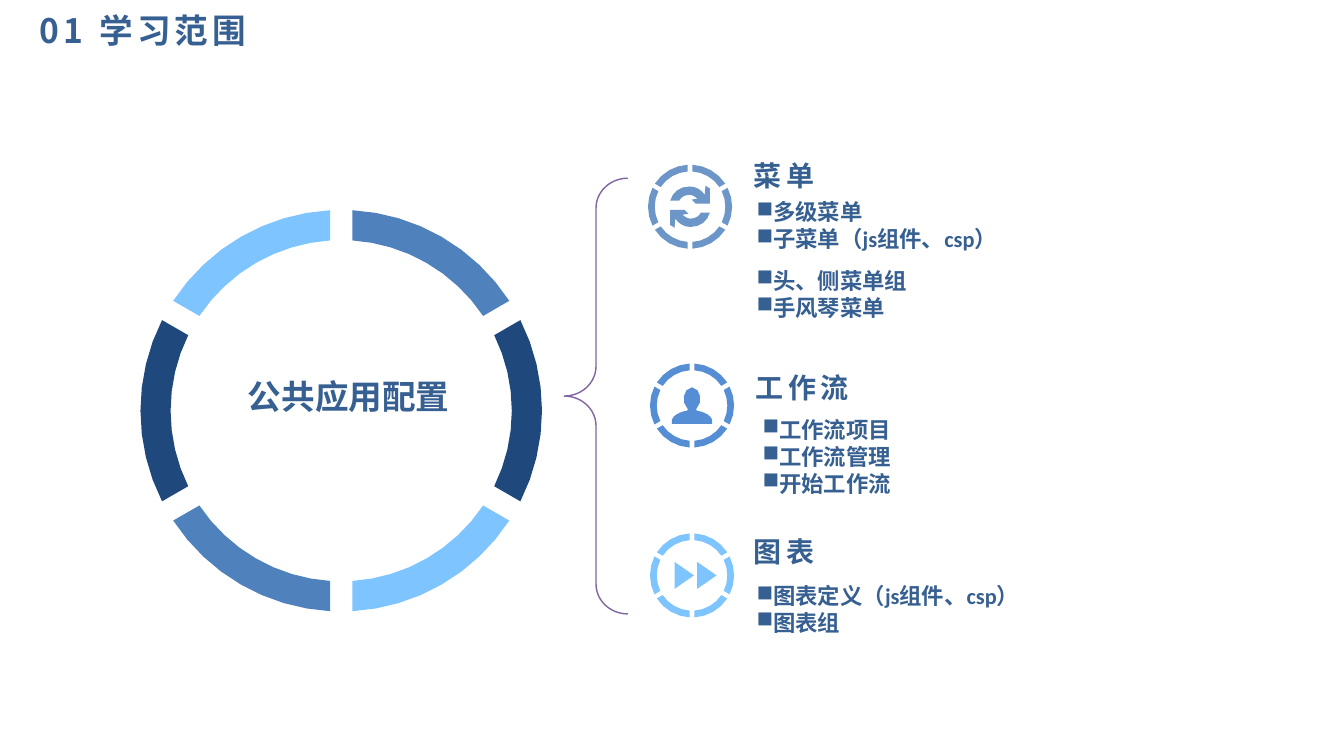
from dataclasses import dataclass
from math import asin, cos, pi, sin

from pptx import Presentation
from pptx import util as u
from pptx.dml.color import RGBColor
from pptx.enum import shapes, text
from pptx.oxml.ns import qn

Point = tuple[float, float]
Outline = list[Point]

COLOURS = {
    "ink": "376092",
    "navy": "1F497D",
    "blue": "4F81BD",
    "sky": "7EC4FE",
    "steel": "6C96C7",
    "azure": "558ED5",
    "purple": "8064A2",
}
CJK_FONT = "Noto Sans CJK SC"


@dataclass
class Ring:
    centre: Point
    outer: float
    inner: float
    half_gap: float
    steps: int
    colours: list[str]


@dataclass
class BulletList:
    left: float
    top: float
    width: float
    items: list[str]


@dataclass
class Topic:
    heading: str
    left: float
    top: float
    centre: Point
    colour: str
    icon: list[Outline]
    lists: list[BulletList]


def rgb(name: str) -> RGBColor:
    return RGBColor.from_string(COLOURS[name])


def bezier(a: Point, b: Point, c: Point, d: Point) -> Outline:
    return [
        tuple(
            (1 - t) ** 3 * a[k] + 3 * t * (1 - t) ** 2 * b[k]
            + 3 * t * t * (1 - t) * c[k] + t ** 3 * d[k]
            for k in (0, 1)
        )
        for t in (0, 0.25, 0.5, 0.75, 1)
    ]


def arc(radius: float, half_gap: float, start: float, steps: int) -> Outline:
    trim = asin(half_gap / radius)
    sweep = pi / 3 - 2 * trim
    angles = [start + trim + sweep * i / steps for i in range(steps + 1)]
    return [(radius * cos(a), radius * sin(a)) for a in angles]


def draw_outlines(slide, centre: Point, outlines: list[Outline], colour: str) -> None:
    placed = [
        [(u.Cm(centre[0] + x), u.Cm(centre[1] + y)) for x, y in outline]
        for outline in outlines
    ]
    builder = slide.shapes.build_freeform(*placed[0][0])
    builder.add_line_segments(placed[0][1:], close=True)
    for outline in placed[1:]:
        builder.move_to(*outline[0])
        builder.add_line_segments(outline[1:], close=True)
    figure = builder.convert_to_shape()
    figure.shadow.inherit = False
    figure.fill.solid()
    figure.fill.fore_color.rgb = rgb(colour)
    figure.line.fill.background()


def draw_ring(slide, ring: Ring) -> None:
    for i, colour in enumerate(ring.colours):
        start = -pi / 2 + i * pi / 3
        outside = arc(ring.outer, ring.half_gap, start, ring.steps)
        inside = arc(ring.inner, ring.half_gap, start, ring.steps)
        draw_outlines(slide, ring.centre, [outside + inside[::-1]], colour)


def style(paragraph, size: float, font: str, spacing: int = 0) -> None:
    paragraph.font.size = u.Pt(size)
    paragraph.font.bold = True
    paragraph.font.name = font
    paragraph.font.color.rgb = rgb("ink")
    properties = paragraph._p.pPr.find(qn("a:defRPr"))
    if spacing:
        properties.set("spc", str(spacing * 100))
    if font == CJK_FONT:
        east_asian = properties.makeelement(qn("a:ea"), {"typeface": font})
        properties.find(qn("a:latin")).addnext(east_asian)


def add_label(slide, words: str, left: float, top: float, size: float, spacing: int = 0) -> None:
    frame = slide.shapes.add_textbox(u.Cm(left), u.Cm(top), u.Cm(6.1), u.Cm(0.97)).text_frame
    frame.word_wrap = True
    frame.vertical_anchor = text.MSO_ANCHOR.MIDDLE
    frame.text = words
    style(frame.paragraphs[0], size, CJK_FONT, spacing)


def add_bullets(slide, bullets: BulletList) -> None:
    height = 0.25 + 0.69 * len(bullets.items)
    frame = slide.shapes.add_textbox(
        u.Cm(bullets.left), u.Cm(bullets.top), u.Cm(bullets.width), u.Cm(height)
    ).text_frame
    frame.word_wrap = True
    frame.text = "\n".join(bullets.items)
    for paragraph in frame.paragraphs:
        properties = paragraph._p.get_or_add_pPr()
        properties.set("marL", str(u.Cm(0.1)))
        properties.set("indent", str(u.Cm(-0.81)))
        properties.append(properties.makeelement(qn("a:buChar"), {"char": "■"}))
        style(paragraph, 16, "Calibri")


def draw_topic(slide, topic: Topic) -> None:
    draw_ring(slide, Ring(topic.centre, 1.06, 0.89, 0.06, 4, [topic.colour] * 6))
    draw_outlines(slide, topic.centre, topic.icon, topic.colour)
    add_label(slide, topic.heading, topic.left, topic.top, 20, 3)
    for bullets in topic.lists:
        add_bullets(slide, bullets)


def main() -> None:
    deck = Presentation()
    deck.slide_width, deck.slide_height = u.Cm(33.87), u.Cm(19.05)
    slide = deck.slides.add_slide(deck.slide_layouts[5])

    title = slide.shapes.title
    title.left, title.top, title.width, title.height = map(u.Cm, (0.74, 0.25, 25.93, 1.47))
    title.text_frame.text = "01 学习范围"
    title.text_frame.vertical_anchor = text.MSO_ANCHOR.TOP
    title.text_frame.margin_top = 0
    title.text_frame.paragraphs[0].alignment = text.PP_ALIGN.LEFT
    style(title.text_frame.paragraphs[0], 24, CJK_FONT, 3)

    draw_ring(slide, Ring((8.6, 10.35), 5.06, 4.3, 0.28, 8, ["blue", "navy", "sky"] * 2))
    add_label(slide, "公共应用配置", 6, 9.5, 24)

    brace = slide.shapes.add_shape(
        shapes.MSO_SHAPE.RIGHT_BRACE, u.Cm(14.22), u.Cm(4.49), u.Cm(1.6), u.Cm(10.98)
    )
    brace.rotation = 180
    brace.adjustments[0], brace.adjustments[1] = 0.47, 0.5
    brace.shadow.inherit = False
    brace.fill.background()
    brace.line.color.rgb = rgb("purple")
    brace.line.width = u.Pt(1)

    lower_arrow = [
        (-0.5, 0.08), (-0.14, 0.08), (-0.04, 0.18),
        *bezier((-0.19, 0.2), (-0.14, 0.25), (-0.06, 0.3), (0.01, 0.3)),
        *bezier((0.01, 0.3), (0.14, 0.3), (0.24, 0.23), (0.27, 0.15)),
        *bezier((0.5, 0.15), (0.44, 0.36), (0.27, 0.51), (0.01, 0.51)),
        *bezier((0.01, 0.51), (-0.14, 0.51), (-0.29, 0.43), (-0.37, 0.3)),
        (-0.39, 0.53), (-0.5, 0.46),
    ]
    upper_arrow = [(-x, -y) for x, y in lower_arrow]
    right_half = [
        (0.51, 0.46), (0.51, 0.36),
        *bezier((0.46, 0.28), (0.38, 0.2), (0.25, 0.15), (0.13, 0.13)),
        (0.1, 0.1),
        *bezier((0.13, 0.05), (0.25, -0.05), (0.25, -0.43), (0, -0.46)),
    ]
    person = right_half + [(-x, y) for x, y in right_half[::-1]]
    forward = [[(x, -0.34), (x + 0.49, 0), (x, 0.34)] for x in (-0.44, 0.13)]

    topics = [
        Topic("菜单", 18.75, 3.94, (17.39, 5.21), "steel", [lower_arrow, upper_arrow], [
            BulletList(18.82, 4.88, 7.85, ["多级菜单", "子菜单（js组件、csp）"]),
            BulletList(18.82, 6.6, 6.2, ["头、侧菜单组", "手风琴菜单"]),
        ]),
        Topic("工作流", 18.8, 9.27, (17.44, 10.22), "azure", [person], [
            BulletList(18.97, 10.36, 6.2, ["工作流项目", "工作流管理", "开始工作流"]),
        ]),
        Topic("图表", 18.75, 13.41, (17.44, 14.5), "sky", forward, [
            BulletList(18.82, 14.55, 8.84, ["图表定义（js组件、csp）", "图表组"]),
        ]),
    ]
    for topic in topics:
        draw_topic(slide, topic)

    deck.save("out.pptx")


if __name__ == "__main__":
    main()
